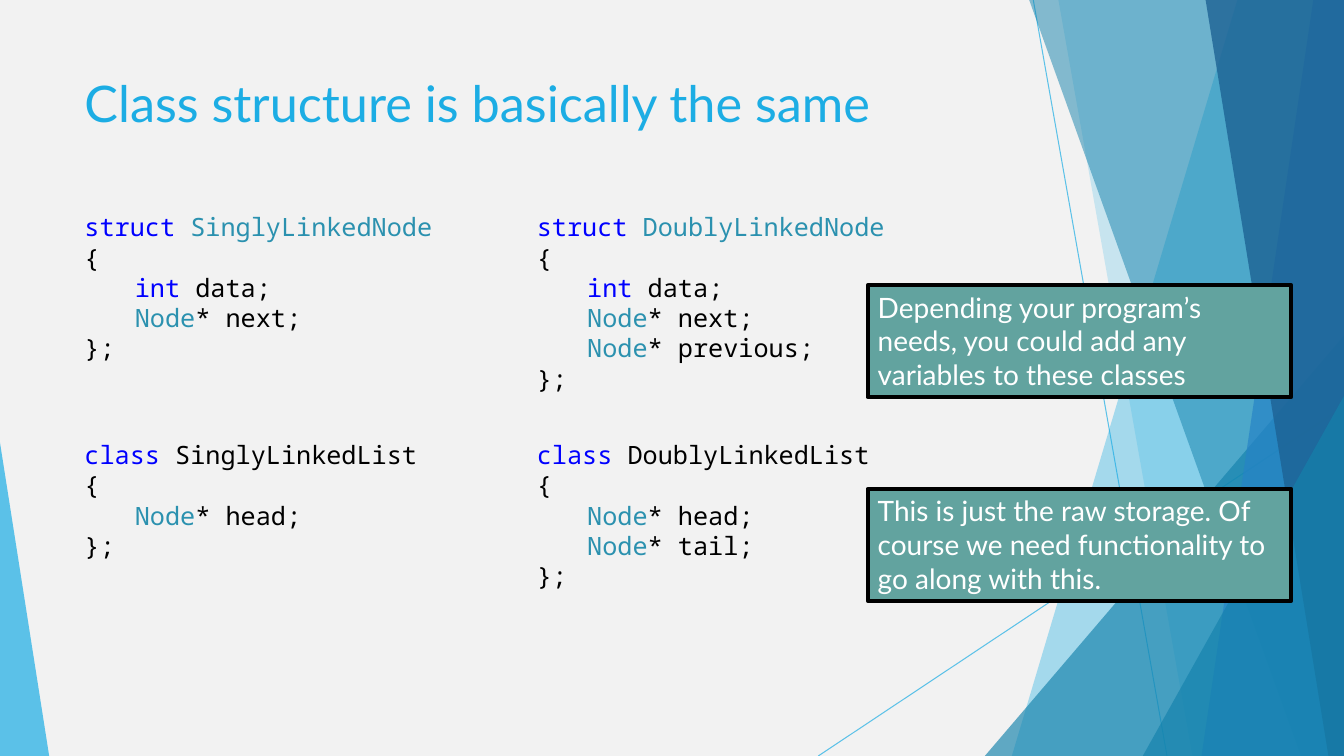
import pptx
import pptx.util
import pptx.dml.color
import pptx.enum.shapes
import pptx.enum.text
import pptx.oxml
import pptx.oxml.ns

Cm = pptx.util.Cm
WIDTH, HEIGHT = 33.87, 19.05
COLORS = {
    "background": "F2F2F2", "sky": "1CADE4", "ocean": "1482AC", "blue": "2683C6",
    "navy": "1D6294", "keyword": "0000FF", "type": "2B91AF", "plain": "000000",
    "note": "62A39F", "white": "FFFFFF",
}
TITLE = "Class structure is basically the same"
OPEN = [("{", "plain")]
CLOSE = [("};", "plain")]
DATA = [("\tint ", "keyword"), ("data;", "plain")]


def pointer(name):
    return [("\tNode", "type"), (f"* {name};", "plain")]


def heading(keyword, name, color):
    return [(keyword + " ", "keyword"), (name, color)]


CODE_COLUMNS = [1.88, 13.28]
CODE_ROWS = [5.21, 10.95]
CODE = [
    [
        [heading("struct", "SinglyLinkedNode", "type"), OPEN, DATA, pointer("next"), CLOSE],
        [heading("struct", "DoublyLinkedNode", "type"), OPEN, DATA, pointer("next"),
         pointer("previous"), CLOSE],
    ],
    [
        [heading("class", "SinglyLinkedList", "plain"), OPEN, pointer("head"), CLOSE],
        [heading("class", "DoublyLinkedList", "plain"), OPEN, pointer("head"),
         pointer("tail"), CLOSE],
    ],
]
NOTES = [
    (7.19, "Depending your program’s needs, you could add any variables to these classes"),
    (12.32, "This is just the raw storage. Of course we need functionality to go along with this."),
]
RAYS = [(26.04, 0, 29.41, HEIGHT), (WIDTH, 10.24, 20.62, HEIGHT)]
DECOR = [
    ("facet", 31.19, 25.5, "sky", 36),
    ("facet", 26.67, 30.05, "sky", 20),
    ("triangle", 24.82, 8.46, WIDTH, 1, "ocean", 66),
    ("facet", 25.93, 32.79, "ocean", 50),
    ("facet", 33.1, 30.28, "blue", 70),
    ("facet", 30.38, 33.48, "navy", 80),
    ("triangle", 28.8, 9.98, WIDTH, 1, "ocean", 66),
    ("triangle", 0, 11.15, 1.24, 0, "sky", 70),
]


def rgb(name):
    return pptx.dml.color.RGBColor.from_string(COLORS[name])


def set_alpha(shape, percent):
    for color in shape._element.spPr.iter(pptx.oxml.ns.qn("a:srgbClr")):
        alpha = color.makeelement(pptx.oxml.ns.qn("a:alpha"), {"val": str(percent * 1000)})
        color.append(alpha)


def add_ray(page, x1, y1, x2, y2):
    ray = page.shapes.add_connector(
        pptx.enum.shapes.MSO_CONNECTOR.STRAIGHT, Cm(x1), Cm(y1), Cm(x2), Cm(y2))
    ray.line.color.rgb = rgb("sky")
    ray.line.width = pptx.util.Pt(0.75)
    set_alpha(ray, 70)
    properties = ray._element.spPr
    properties.append(properties.makeelement(pptx.oxml.ns.qn("a:effectLst"), {}))


def finish_decor(shape, color, alpha):
    shape.shadow.inherit = False
    shape.fill.solid()
    shape.fill.fore_color.rgb = rgb(color)
    shape.line.fill.background()
    set_alpha(shape, alpha)


def add_facet(page, top_x, bottom_x, color, alpha):
    top = Cm(-0.02)
    builder = page.shapes.build_freeform(Cm(top_x), top)
    builder.add_line_segments(
        [(Cm(WIDTH), top), (Cm(WIDTH), Cm(HEIGHT)), (Cm(bottom_x), Cm(HEIGHT))], close=True)
    finish_decor(builder.convert_to_shape(), color, alpha)


def add_triangle(page, left, top, right, apex, color, alpha):
    shape = page.shapes.add_shape(
        pptx.enum.shapes.MSO_SHAPE.ISOSCELES_TRIANGLE,
        Cm(left), Cm(top), Cm(right - left), Cm(HEIGHT - top))
    shape.adjustments[0] = apex
    finish_decor(shape, color, alpha)


def style(font, face, size, color):
    font.name = face
    font.size = pptx.util.Pt(size)
    font.color.rgb = rgb(color)


def write_text(shape, text, size, color):
    frame = shape.text_frame
    frame.word_wrap = True
    frame.vertical_anchor = pptx.enum.text.MSO_ANCHOR.TOP
    frame.text = text
    para = frame.paragraphs[0]
    para.alignment = pptx.enum.text.PP_ALIGN.LEFT
    style(para.runs[0].font, "Lato", size, color)


def add_code(page, left, top, lines):
    box = page.shapes.add_textbox(Cm(left), Cm(top), Cm(9.75), Cm(0.25 + 0.77 * len(lines)))
    frame = box.text_frame
    frame.word_wrap = True
    for index, line in enumerate(lines):
        para = frame.add_paragraph() if index else frame.paragraphs[0]
        tabs = pptx.oxml.parse_xml(
            f'<a:tabLst {pptx.oxml.ns.nsdecls("a")}><a:tab pos="{Cm(1.27)}" algn="l"/></a:tabLst>')
        para._p.get_or_add_pPr().append(tabs)
        for text, color in line:
            span = para.add_run()
            span.text = text
            style(span.font, "Noto Sans Mono", 18, color)


def add_note(page, top, text):
    note = page.shapes.add_shape(
        pptx.enum.shapes.MSO_SHAPE.RECTANGLE, Cm(21.87), Cm(top), Cm(10.67), Cm(2.82))
    note.shadow.inherit = False
    note.fill.solid()
    note.fill.fore_color.rgb = rgb("note")
    note.line.color.rgb = rgb("plain")
    note.line.width = pptx.util.Pt(3)
    write_text(note, text, 20, "white")


def main():
    deck = pptx.Presentation()
    deck.slide_width, deck.slide_height = Cm(WIDTH), Cm(HEIGHT)
    page = deck.slides.add_slide(deck.slide_layouts[6])
    page.background.fill.solid()
    page.background.fill.fore_color.rgb = rgb("background")
    for ray in RAYS:
        add_ray(page, *ray)
    draw = {"facet": add_facet, "triangle": add_triangle}
    for kind, *values in DECOR:
        draw[kind](page, *values)
    title = page.shapes.add_textbox(Cm(1.88), Cm(1.7), Cm(23.88), Cm(2.34))
    write_text(title, TITLE, 36, "sky")
    for top, row in zip(CODE_ROWS, CODE):
        for left, lines in zip(CODE_COLUMNS, row):
            add_code(page, left, top, lines)
    for top, text in NOTES:
        add_note(page, top, text)
    deck.save("out.pptx")


if __name__ == "__main__":
    main()
